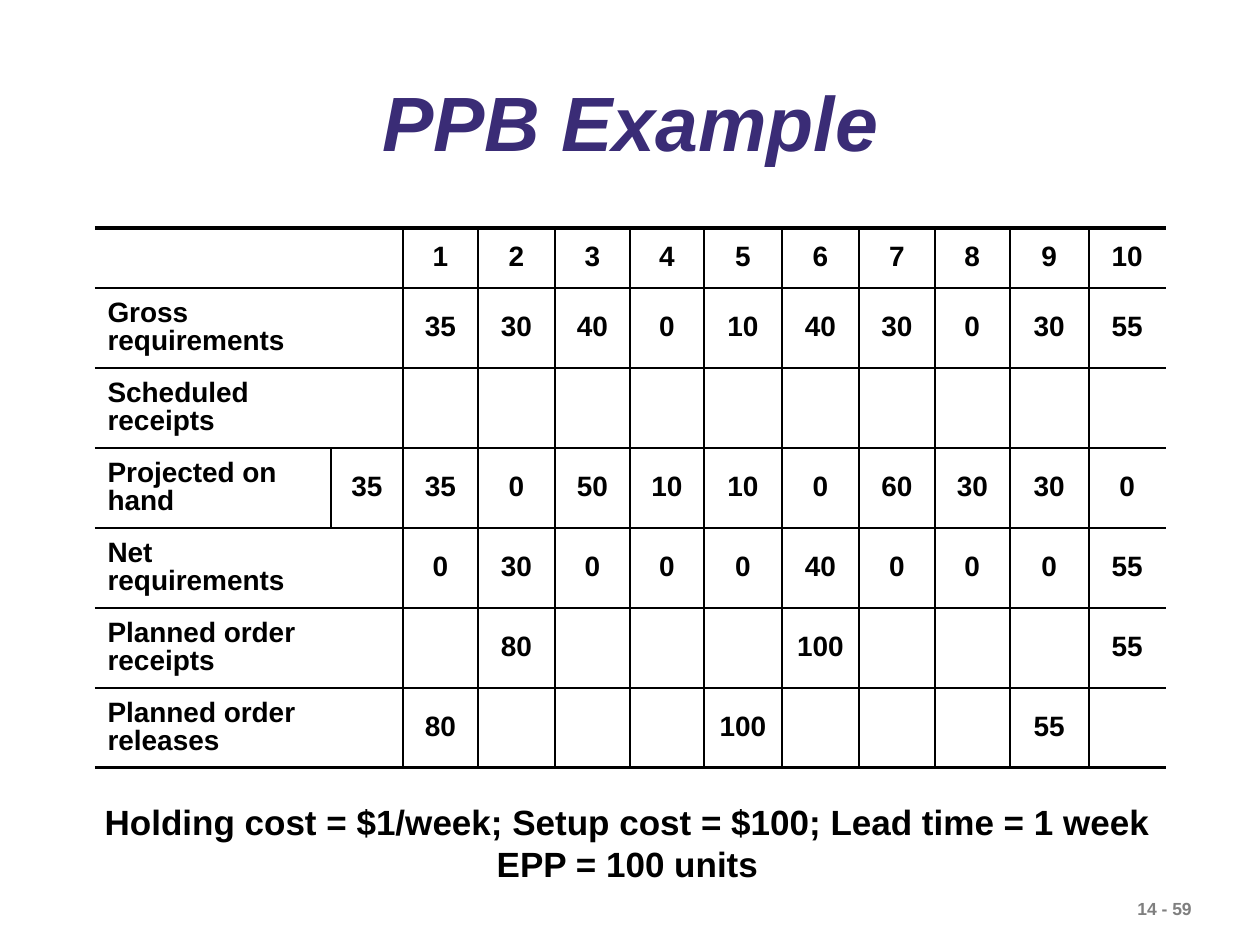
"""Builds the part-period balancing example slide."""
from lxml.etree import SubElement
from pptx import Presentation
from pptx.dml.color import RGBColor as Color
from pptx.enum.text import MSO_ANCHOR as Anchor, MSO_AUTO_SIZE as AutoSize, PP_ALIGN as Align
from pptx.oxml.ns import qn
from pptx.util import Emu, Pt

COLORS = {"title": "3A2C76", "text": "000000", "rule": "000000", "number": "7F7F7F"}
COLUMN_WIDTHS = [236, 72, 75, 77, 75, 74, 78, 77, 76, 75, 79, 77]
ROW_HEIGHTS = [60] + [80] * 6
ROWS = [
    ["", "", *range(1, 11)],
    ["Gross requirements", "", 35, 30, 40, 0, 10, 40, 30, 0, 30, 55],
    ["Scheduled receipts"] + [""] * 11,
    ["Projected on hand", 35, 35, 0, 50, 10, 10, 0, 60, 30, 30, 0],
    ["Net requirements", "", 0, 30, 0, 0, 0, 40, 0, 0, 0, 55],
    ["Planned order receipts", "", "", 80, "", "", "", 100, "", "", "", 55],
    ["Planned order releases", "", 80, "", "", "", 100, "", "", "", 55, ""],
]
ON_HAND_ROW = 3
THIN, THICK = 1.08, 2.21


def px(length):
    return Emu(round(length * 914400 / 126))


class SlideBuilder:
    def __init__(self, slide, font="Arial"):
        self.slide = slide
        self.font = font

    def style(self, paragraph, size, color, align, italic=False, spacing=None):
        paragraph.alignment = align
        if spacing:
            paragraph.line_spacing = spacing
        font = paragraph.font
        font.name, font.size, font.bold, font.italic = self.font, Pt(size), True, italic
        font.color.rgb = Color.from_string(COLORS[color])

    def text(self, box, lines, size, color, align=Align.CENTER, anchor=Anchor.TOP,
             wrap=True, italic=False, spacing=None):
        frame = self.slide.shapes.add_textbox(*map(px, box)).text_frame
        frame.word_wrap = wrap
        frame.auto_size = AutoSize.NONE
        frame.vertical_anchor = anchor
        frame.text = "\n".join(lines)
        for paragraph in frame.paragraphs:
            self.style(paragraph, size, color, align, italic, spacing)

    def borders(self, cell, widths):
        properties = cell._tc.get_or_add_tcPr()
        for side, width in zip("LRTB", widths):
            line = SubElement(properties, qn(f"a:ln{side}"))
            if width:
                line.set("w", str(Pt(width)))
                fill = SubElement(line, qn("a:solidFill"))
                SubElement(fill, qn("a:srgbClr")).set("val", COLORS["rule"])
            else:
                SubElement(line, qn("a:noFill"))

    def table(self, left, top, rows, widths, heights):
        box = map(px, (left, top, sum(widths), sum(heights)))
        table = self.slide.shapes.add_table(len(rows), len(widths), *box).table
        table.first_row = table.horz_banding = False
        for column, width in zip(table.columns, widths):
            column.width = px(width)
        for row, height in zip(table.rows, heights):
            row.height = px(height)
        for i, values in enumerate(rows):
            for j, value in enumerate(values):
                cell = table.cell(i, j)
                cell.vertical_anchor = Anchor.MIDDLE
                cell.text = str(value)
                paragraph = cell.text_frame.paragraphs[0]
                paragraph.space_after = Pt(8)
                self.style(paragraph, 16, "text", Align.CENTER if j else Align.LEFT, spacing=0.9)
                left_rule = THIN if j > 1 or (j == 1 and i == ON_HAND_ROW) else 0
                right_rule = THIN if 0 < j < len(values) - 1 or (j == 0 and i == ON_HAND_ROW) else 0
                top_rule = THIN if i else THICK
                bottom_rule = THIN if i < len(rows) - 1 else THICK
                self.borders(cell, (left_rule, right_rule, top_rule, bottom_rule))
                cell.fill.background()


def main():
    presentation = Presentation()
    presentation.slide_width, presentation.slide_height = px(1260), px(945)
    builder = SlideBuilder(presentation.slides.add_slide(presentation.slide_layouts[6]))
    builder.text((1125, 892, 144, 34), ["14 - 59"], 10, "number", Align.LEFT, wrap=False)
    builder.text((95, 64, 1071, 125), ["PPB Example"], 44, "title",
                 anchor=Anchor.MIDDLE, italic=True, spacing=0.9)
    builder.table(95, 228, ROWS, COLUMN_WIDTHS, ROW_HEIGHTS)
    builder.text((79, 794, 1097, 97),
                 ["Holding cost = $1/week; Setup cost = $100; Lead time = 1 week", "EPP = 100 units"],
                 20, "text")
    presentation.save("out.pptx")


if __name__ == "__main__":
    main()
